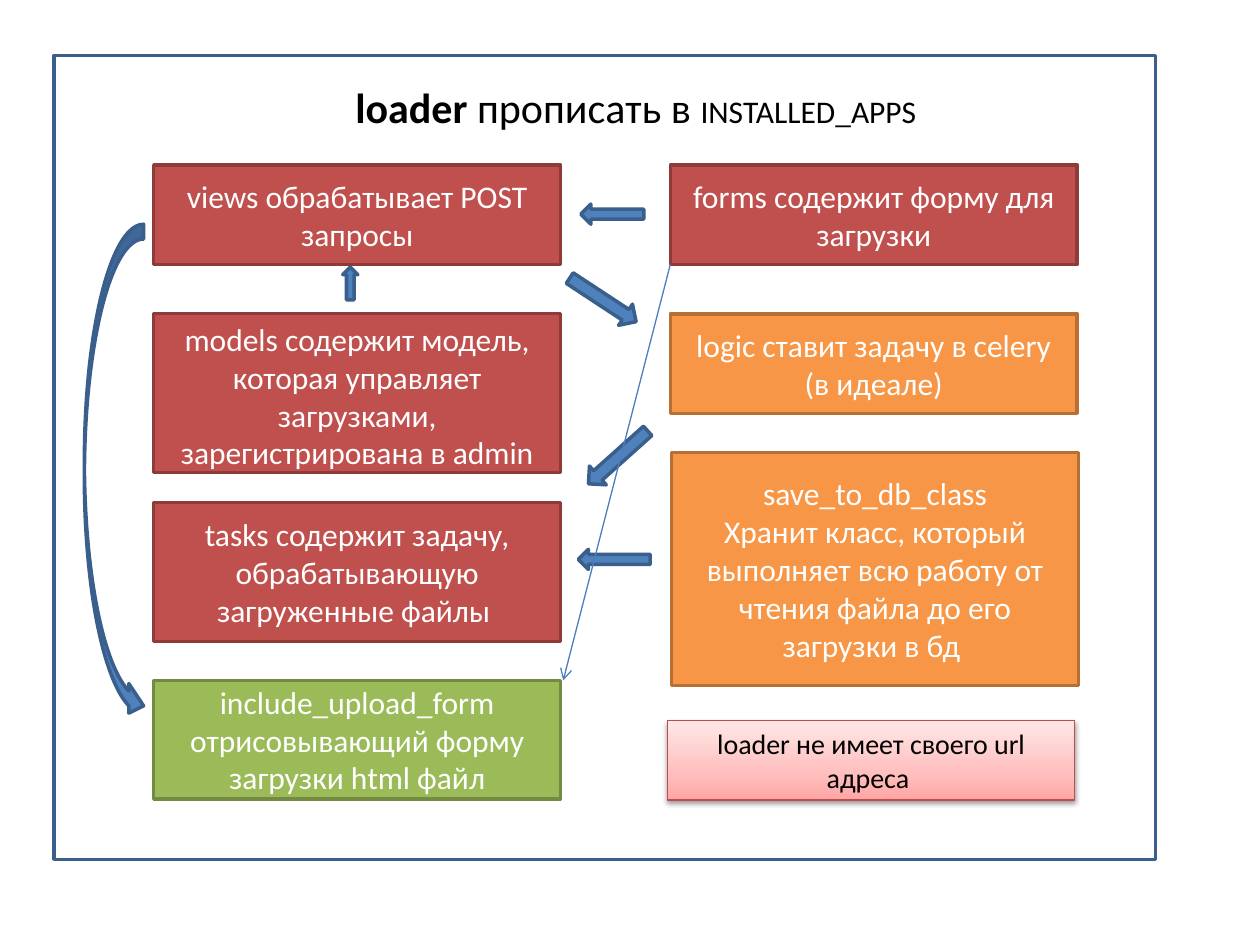
import copy

import lxml.etree
import pptx
import pptx.dml.color
import pptx.enum.shapes
import pptx.enum.text
import pptx.oxml
import pptx.oxml.ns
import pptx.util

Inches, Pt = pptx.util.Inches, pptx.util.Pt
RGBColor = pptx.dml.color.RGBColor
SHAPE = pptx.enum.shapes.MSO_SHAPE
ANCHOR = pptx.enum.text.MSO_ANCHOR
ALIGN = pptx.enum.text.PP_ALIGN
qn = pptx.oxml.ns.qn

FONT = "Calibri"
WHITE = RGBColor(0xFF, 0xFF, 0xFF)
BLACK = RGBColor(0x00, 0x00, 0x00)
BLUE = RGBColor(0x4F, 0x81, 0xBD)
DARK_BLUE = RGBColor(0x3A, 0x5F, 0x8C)
LINK_BLUE = RGBColor(0x4B, 0x7E, 0xBC)
RED = RGBColor(0xC0, 0x50, 0x4D)
DARK_RED = RGBColor(0x8E, 0x3B, 0x39)
ORANGE = RGBColor(0xF7, 0x96, 0x46)
DARK_ORANGE = RGBColor(0xB7, 0x6F, 0x34)
GREEN = RGBColor(0x9B, 0xBB, 0x59)
DARK_GREEN = RGBColor(0x73, 0x8A, 0x42)
NOTE_LINE = RGBColor(0xBF, 0x4C, 0x48)
NOTE_STOPS = [
    (0, RGBColor(0xFF, 0xA6, 0xA5)),
    (0.35, RGBColor(0xFF, 0xC0, 0xBF)),
    (1, RGBColor(0xFF, 0xE7, 0xE7)),
]

LEFT_COLUMN, RIGHT_COLUMN = 1.22, 5.32
BOX_WIDTH = 3.23


def add_filled_shape(kind, left, top, width, height, fill, line, line_width=2):
    """Add a preset shape without shadow; a fill of None leaves it empty."""
    shape = slide.shapes.add_shape(
        kind, Inches(left), Inches(top), Inches(width), Inches(height))
    shape.shadow.inherit = False
    if fill is None:
        shape.fill.background()
    else:
        shape.fill.solid()
        shape.fill.fore_color.rgb = fill
    shape.line.color.rgb = line
    shape.line.width = Pt(line_width)
    return shape


def write_centred(shape, text, size, color):
    shape.text_frame.text = text
    for paragraph in shape.text_frame.paragraphs:
        paragraph.alignment = ALIGN.CENTER
        for run in paragraph.runs:
            run.font.name = FONT
            run.font.size = Pt(size)
            run.font.color.rgb = color


presentation = pptx.Presentation()
presentation.slide_width = Inches(10)
presentation.slide_height = Inches(7.5)
slide = presentation.slides.add_slide(presentation.slide_layouts[5])

# Frame and title
add_filled_shape(SHAPE.RECTANGLE, 0.43, 0.44, 8.74, 6.38, None, DARK_BLUE)

title = slide.shapes.title
title.left, title.top = Inches(2.72), Inches(0.6)
title.width, title.height = Inches(4.96), Inches(0.81)
title.text_frame.vertical_anchor = ANCHOR.TOP
title.text_frame.auto_size = pptx.enum.text.MSO_AUTO_SIZE.NONE
title_paragraph = title.text_frame.paragraphs[0]
title_paragraph.alignment = ALIGN.LEFT
for text, size, bold in [
    ("loader ", 24, True),
    ("прописать в ", 24, False),
    ("INSTALLED_APPS", 18, False),
]:
    run = title_paragraph.add_run()
    run.text = text
    run.font.name = FONT
    run.font.size = Pt(size)
    run.font.bold = bold
    run.font.color.rgb = BLACK

# Module boxes
modules = [
    (LEFT_COLUMN, 1.31, 0.79, RED, DARK_RED, "views обрабатывает POST запросы"),
    (LEFT_COLUMN, 2.49, 1.26, RED, DARK_RED,
     "models содержит модель, которая управляет загрузками, "
     "зарегистрирована в admin"),
    (LEFT_COLUMN, 3.99, 1.1, RED, DARK_RED,
     "tasks содержит задачу, обрабатывающую загруженные файлы "),
    (RIGHT_COLUMN, 1.31, 0.79, RED, DARK_RED,
     "forms содержит форму для загрузки"),
    (RIGHT_COLUMN, 2.49, 0.79, ORANGE, DARK_ORANGE,
     "logic ставит задачу в celery (в идеале)"),
    (RIGHT_COLUMN + 0.01, 3.59, 1.85, ORANGE, DARK_ORANGE,
     "save_to_db_class\nХранит класс, который выполняет всю работу "
     "от чтения файла до его загрузки в бд "),
    (LEFT_COLUMN, 5.4, 0.94, GREEN, DARK_GREEN,
     "include_upload_form отрисовывающий форму загрузки html файл"),
]
for left, top, height, fill, line, text in modules:
    box = add_filled_shape(
        SHAPE.RECTANGLE, left, top, BOX_WIDTH, height, fill, line)
    write_centred(box, text, 18, WHITE)
    if text.startswith("models"):
        box.text_frame.vertical_anchor = ANCHOR.TOP

# Block arrows between the modules
block_arrows = [
    (SHAPE.RIGHT_ARROW, 4.47, 2.28, 0.63, 0.2, 33.3),
    (SHAPE.RIGHT_ARROW, 4.59, 3.53, 0.63, 0.2, 138.2),
    (SHAPE.UP_ARROW, 2.72, 2.12, 0.12, 0.26, 0),
    (SHAPE.LEFT_ARROW, 4.61, 1.62, 0.5, 0.16, 0),
    (SHAPE.LEFT_ARROW, 4.59, 4.36, 0.57, 0.16, 0),
    (SHAPE.CURVED_RIGHT_ARROW, 0.67, 1.78, 0.47, 3.94, 0),
]
for kind, left, top, width, height, rotation in block_arrows:
    arrow = add_filled_shape(kind, left, top, width, height, BLUE, DARK_BLUE)
    arrow.rotation = rotation

# Note with a gradient and a soft shadow
note = add_filled_shape(
    SHAPE.RECTANGLE, 5.3, 5.72, BOX_WIDTH, 0.63, WHITE, NOTE_LINE, 0.75)
write_centred(note, "loader не имеет своего url адреса ", 16, BLACK)
note.fill.gradient()
note.fill.gradient_angle = 90
stop_list = note._element.spPr.find(".//" + qn("a:gsLst"))
stop_list.insert(1, copy.deepcopy(stop_list[0]))
for stop, (position, color) in zip(note.fill.gradient_stops, NOTE_STOPS):
    stop.position = position
    stop.color.rgb = color

effects = note._element.spPr.find(qn("a:effectLst"))
shadow = lxml.etree.SubElement(
    effects, qn("a:outerShdw"), blurRad=str(Pt(3.1)), dist=str(Pt(1.6)),
    dir="5400000", rotWithShape="0")
shadow_color = lxml.etree.SubElement(shadow, qn("a:srgbClr"), val="000000")
lxml.etree.SubElement(shadow_color, qn("a:alpha"), val="38000")

# Thin arrow from the forms corner to the upload form corner
link = slide.shapes.add_connector(
    pptx.enum.shapes.MSO_CONNECTOR.STRAIGHT,
    Inches(RIGHT_COLUMN), Inches(2.1), Inches(4.47), Inches(5.4))
link.line.color.rgb = LINK_BLUE
link.line.width = Pt(0.75)
lxml.etree.SubElement(link.line._get_or_add_ln(), qn("a:tailEnd"), type="arrow")
lxml.etree.SubElement(link._element.spPr, qn("a:effectLst"))

presentation.save("out.pptx")
